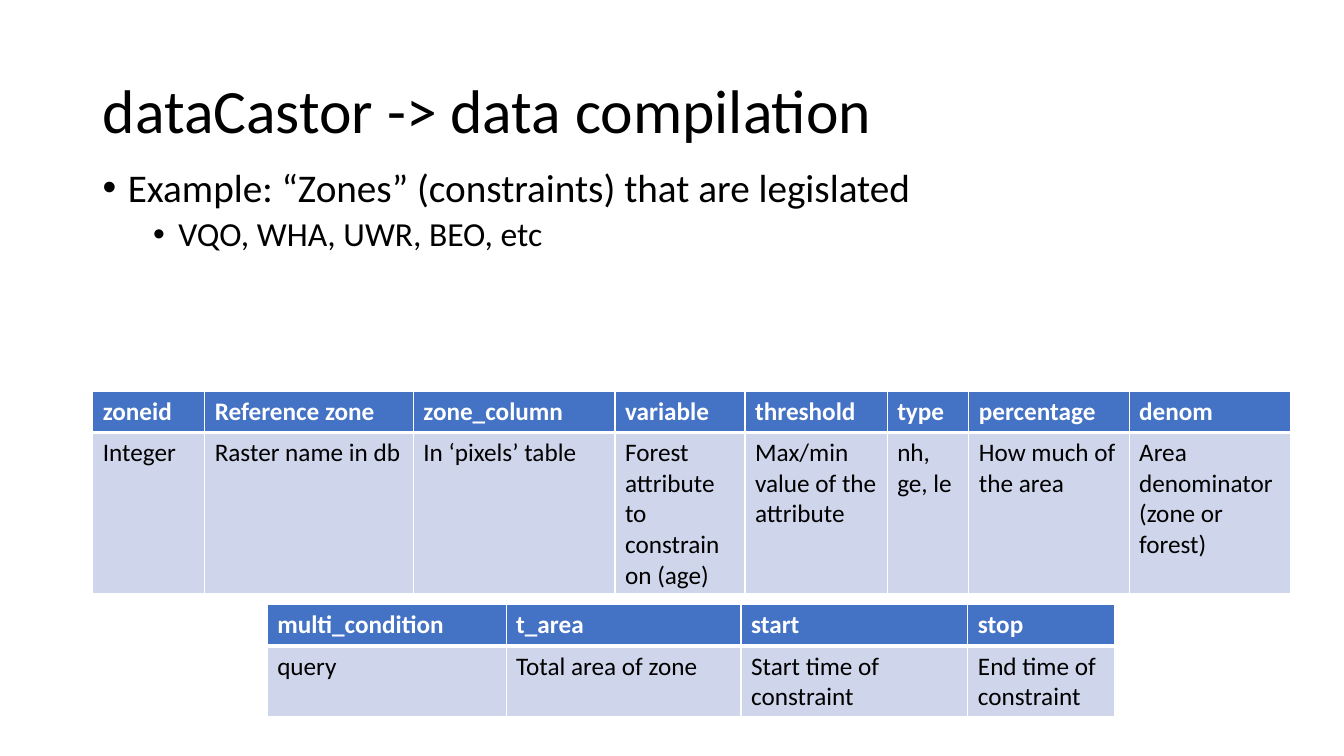
from dataclasses import dataclass

from pptx import Presentation
from pptx import util as u
from pptx.dml.color import RGBColor
from pptx.enum import text
from pptx.oxml import parse_xml
from pptx.oxml.ns import nsdecls

PX = 9144  # EMU per px, 100 px to the inch


@dataclass(frozen=True)
class Theme:
    font: str = "Calibri"
    ink: str = "000000"
    paper: str = "FFFFFF"
    header: str = "4472C4"
    body: str = "CFD5EA"
    title_size: int = 44
    bullet_sizes: tuple = (28, 24)
    table_size: int = 18
    rule: int = 1
    header_rule: int = 3


THEME = Theme()


def emu(*lengths):
    return [u.Emu(length * PX) for length in lengths]


def add_run(paragraph, words, size, color=THEME.ink, bold=False):
    run = paragraph.add_run()
    run.text = words
    run.font.name = THEME.font
    run.font.size = u.Pt(size)
    run.font.bold = bold
    run.font.color.rgb = RGBColor.from_string(color)


def place_title(slide, box, words):
    title = slide.shapes.title
    title.left, title.top, title.width, title.height = emu(*box)
    frame = title.text_frame
    frame.word_wrap = True
    frame.auto_size = text.MSO_AUTO_SIZE.NONE
    frame.vertical_anchor = text.MSO_ANCHOR.MIDDLE
    heading = frame.paragraphs[0]
    heading.alignment = text.PP_ALIGN.LEFT
    heading.line_spacing = 0.9
    add_run(heading, words, THEME.title_size)


def add_bullets(slide, box, points):
    frame = slide.shapes.add_textbox(*emu(*box)).text_frame
    frame.word_wrap = True
    for i, (level, words) in enumerate(points):
        point = frame.paragraphs[0] if i == 0 else frame.add_paragraph()
        point.level = level
        point.line_spacing = 0.9
        point.space_before = u.Pt(5 if level else 10)
        # Hanging bullet, half an inch further in per level
        props = point._p.get_or_add_pPr()
        props.set("marL", str(emu(25 + 50 * level)[0]))
        props.set("indent", str(emu(-25)[0]))
        props.append(parse_xml(f'<a:buFont {nsdecls("a")} typeface="Arial"/>'))
        props.append(parse_xml(f'<a:buChar {nsdecls("a")} char="•"/>'))
        add_run(point, words, THEME.bullet_sizes[level])


def set_borders(cell, top, bottom):
    props = cell._tc.get_or_add_tcPr()
    widths = {"lnL": THEME.rule, "lnR": THEME.rule, "lnT": top, "lnB": bottom}
    for i, (edge, width) in enumerate(widths.items()):
        props.insert(i, parse_xml(
            f'<a:{edge} {nsdecls("a")} w="{u.Pt(width)}"><a:solidFill>'
            f'<a:srgbClr val="{THEME.paper}"/></a:solidFill></a:{edge}>'))


def add_field_table(slide, left, top, row_heights, fields):
    """fields: (column width, field name, meaning) for each column."""
    width = sum(field[0] for field in fields)
    box = emu(left, top, width, sum(row_heights))
    table = slide.shapes.add_table(2, len(fields), *box).table
    table.horz_banding = False
    for row, height in zip(table.rows, emu(*row_heights)):
        row.height = height
    for c, (column_width, *entries) in enumerate(fields):
        table.columns[c].width = emu(column_width)[0]
        for r, words in enumerate(entries):
            is_header = r == 0
            cell = table.cell(r, c)
            cell.fill.solid()
            cell.fill.fore_color.rgb = RGBColor.from_string(
                THEME.header if is_header else THEME.body)
            if is_header:
                set_borders(cell, THEME.rule, THEME.header_rule)
            else:
                set_borders(cell, THEME.header_rule, THEME.rule)
            add_run(cell.text_frame.paragraphs[0], words, THEME.table_size,
                    THEME.paper if is_header else THEME.ink, is_header)


def build_zones_slide(deck):
    slide = deck.slides.add_slide(deck.slide_layouts[5])

    # Heading and example
    place_title(slide, (92, 40, 1150, 145), "dataCastor -> data compilation")
    add_bullets(slide, (92, 162, 1150, 210), [
        (0, "Example: “Zones” (constraints) that are legislated"),
        (1, "VQO, WHA, UWR, BEO, etc"),
    ])

    # Zone constraint fields
    add_field_table(slide, 92, 388, (41, 160), [
        (111, "zoneid", "Integer"),
        (207, "Reference zone", "Raster name in db"),
        (200, "zone_column", "In ‘pixels’ table"),
        (129, "variable", "Forest attribute to constrain on (age)"),
        (141, "threshold", "Max/min value of the attribute"),
        (81, "type", "nh, ge, le"),
        (159, "percentage", "How much of the area"),
        (160, "denom", "Area denominator (zone or forest)"),
    ])

    # Remaining fields
    add_field_table(slide, 265, 600, (41, 70), [
        (237, "multi_condition", "query"),
        (233, "t_area", "Total area of zone"),
        (225, "start", "Start time of constraint"),
        (146, "stop", "End time of constraint"),
    ])


def main():
    deck = Presentation()
    deck.slide_width, deck.slide_height = emu(1333, 750)
    build_zones_slide(deck)
    deck.save("out.pptx")


if __name__ == "__main__":
    main()
